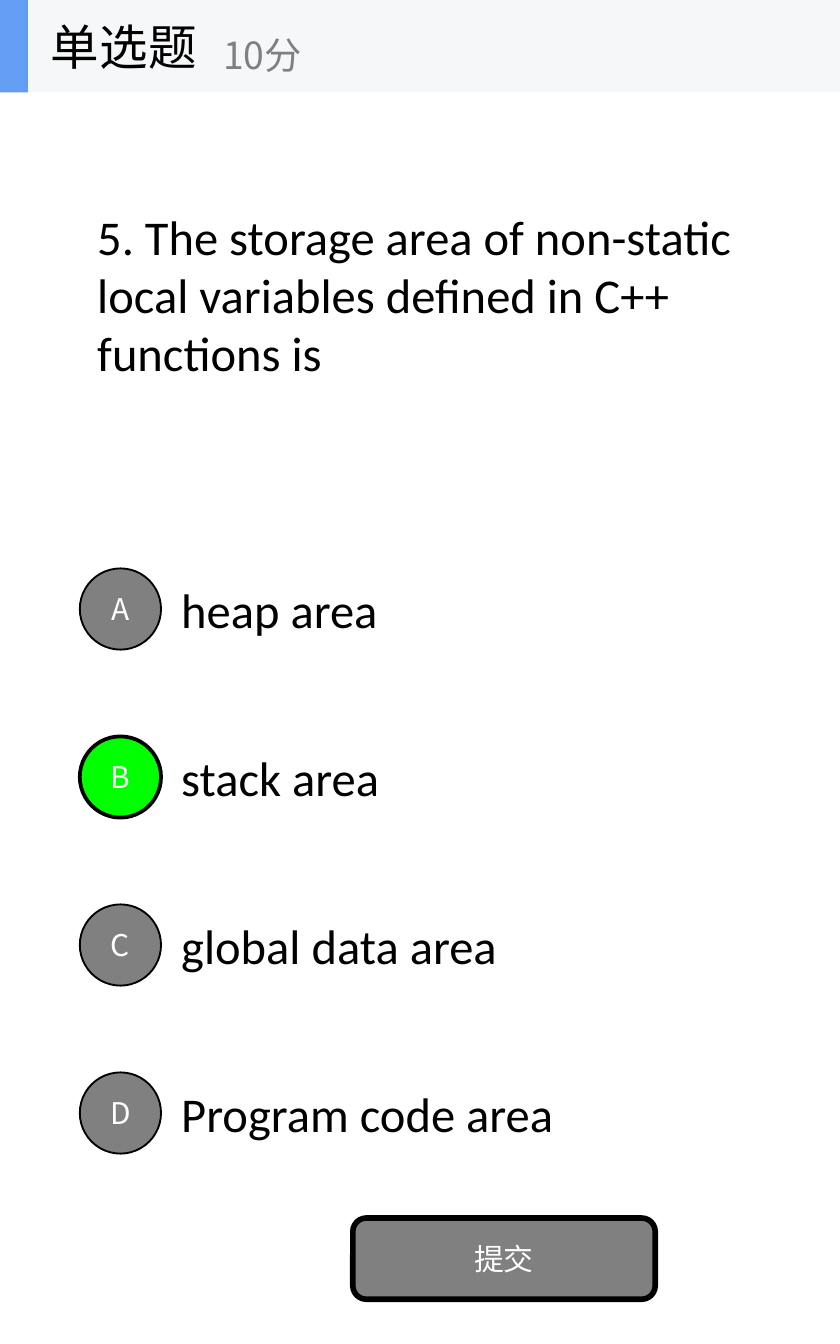
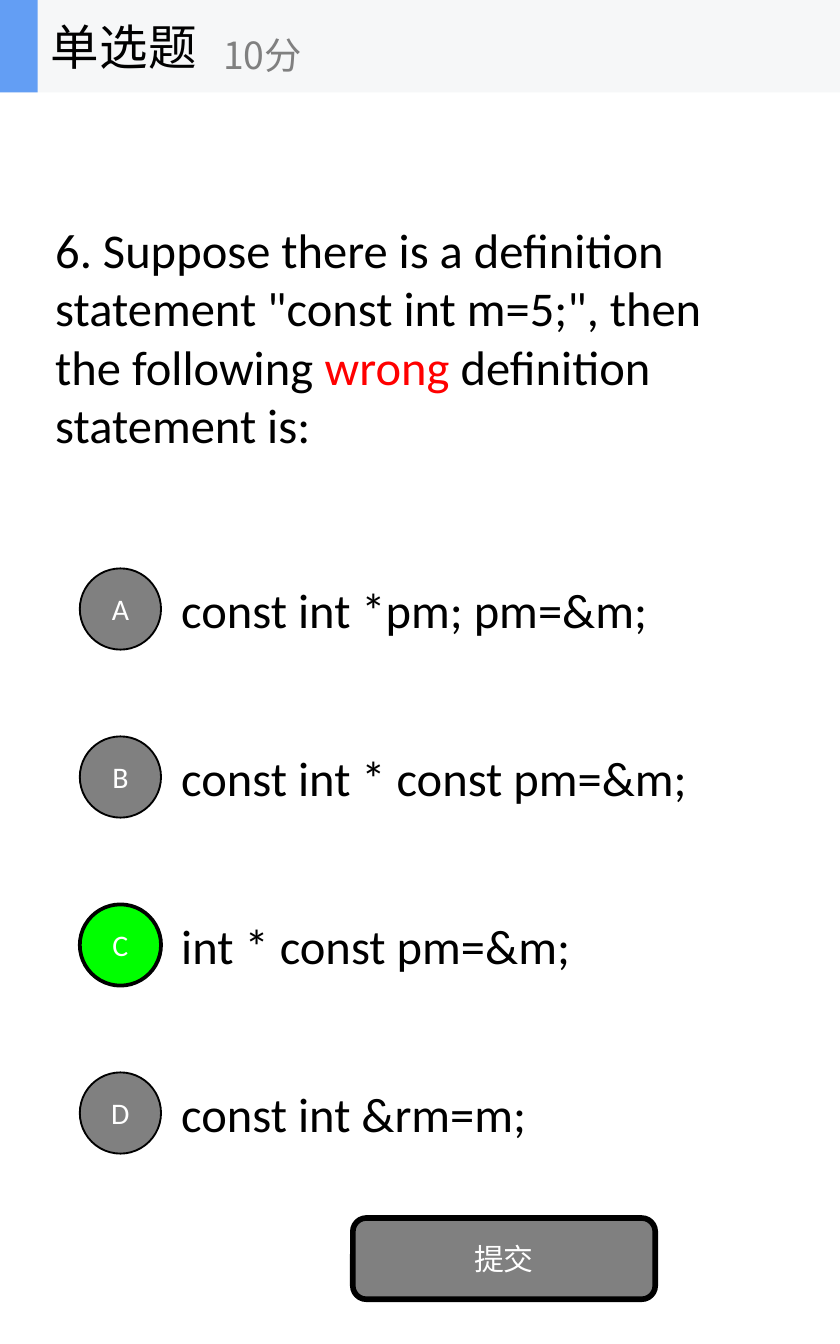
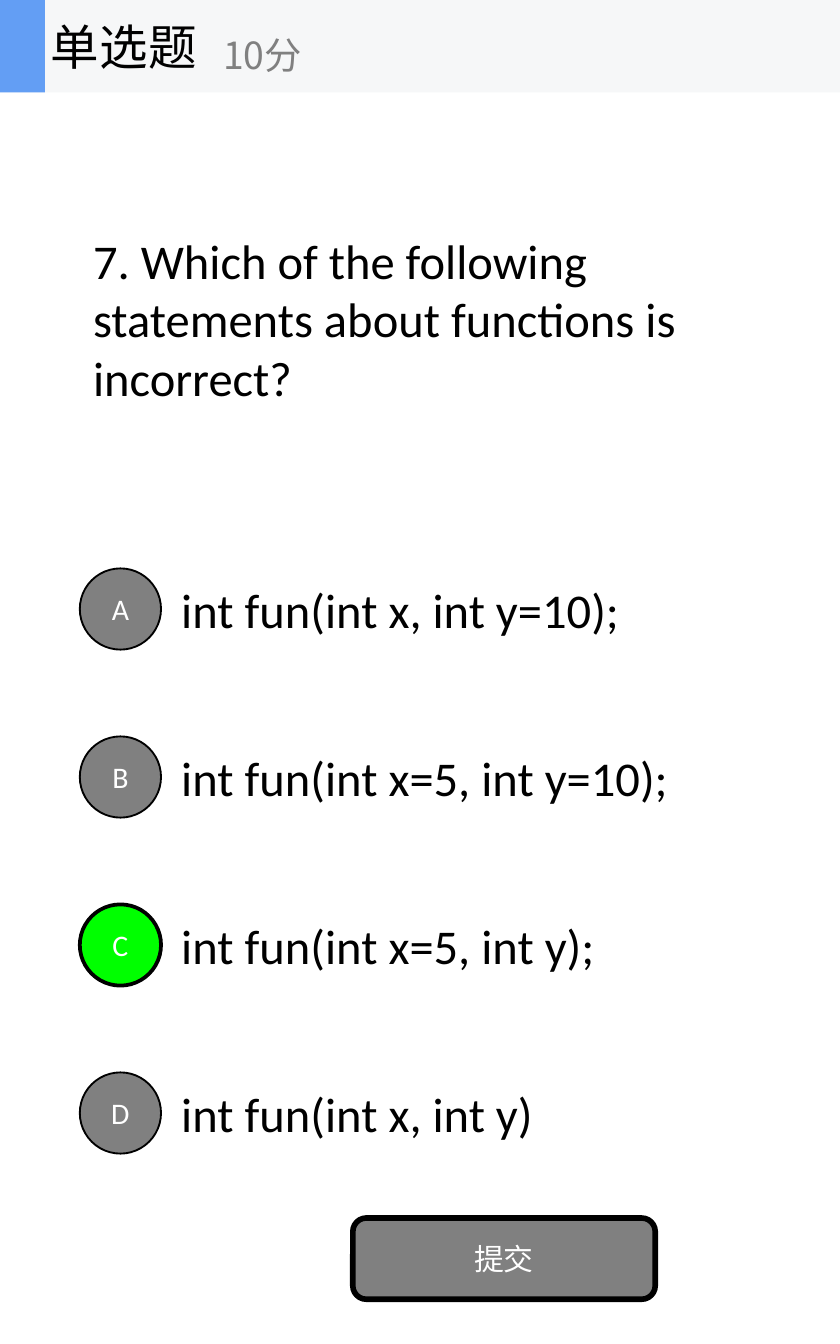
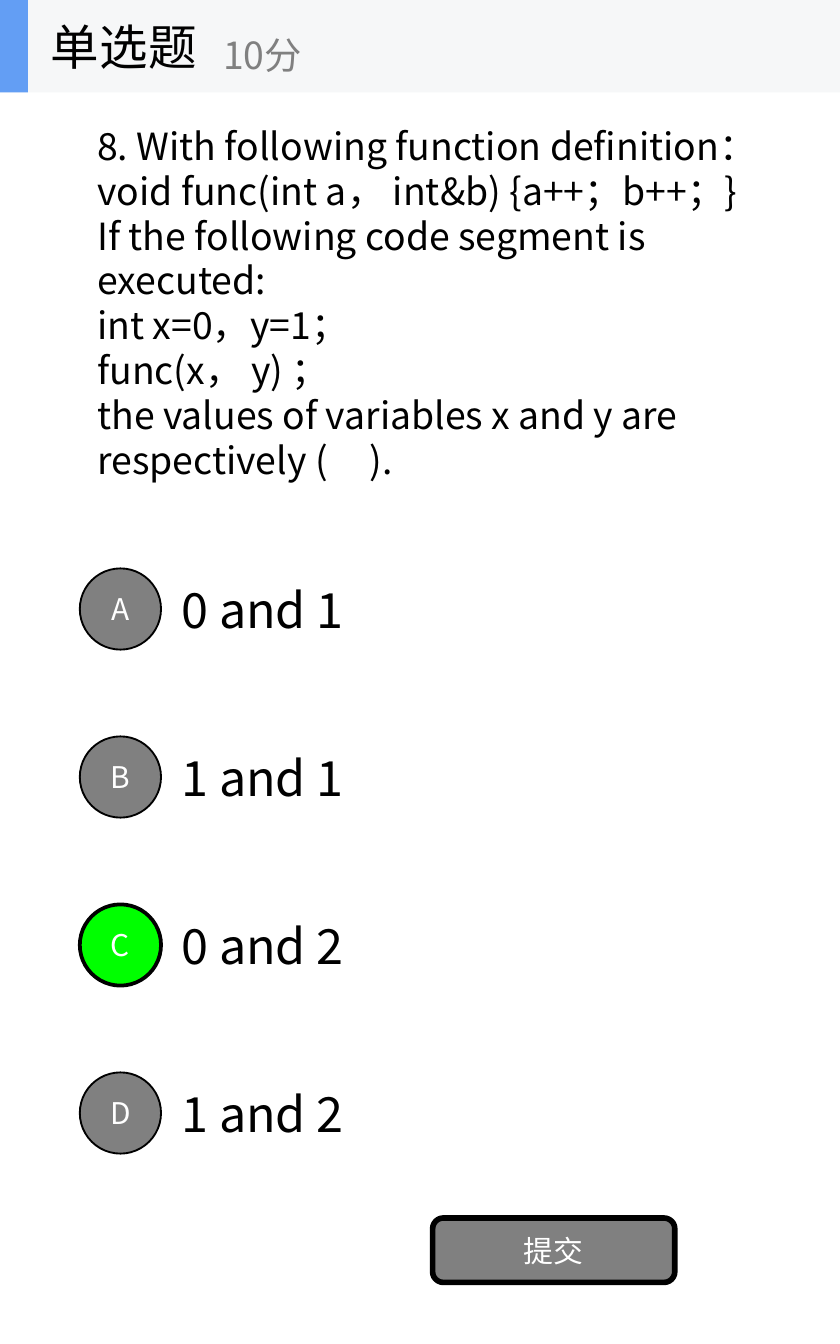
"""Builds four single-choice quiz slides."""
from dataclasses import dataclass
from typing import Any

from pptx import Presentation
from pptx import util as u
from pptx.dml.color import RGBColor
from pptx.enum import shapes, text
from pptx.oxml.ns import qn

SCALE = 9525
COLORS = {
    "ink": "000000",
    "white": "FFFFFF",
    "grey": "808080",
    "correct": "00FF00",
    "alert": "FF0000",
    "band": "F6F7F8",
    "accent": "639EF4",
}
CJK = "Noto Sans CJK SC"
LATIN = "Calibri"
OPTION_PITCH = 120


@dataclass(frozen=True)
class Rect:
    """A rectangle in px."""

    left: int
    top: int
    width: int
    height: int

    def emu(self) -> tuple[int, ...]:
        """Return the rectangle in EMU."""
        return tuple(v * SCALE for v in (self.left, self.top, self.width, self.height))


@dataclass(frozen=True)
class Style:
    """The look of a block of text."""

    size: int
    font: str = LATIN
    color: str = "ink"
    centred: bool = False


@dataclass(frozen=True)
class Quiz:
    """One question with its options and layout."""

    lines: tuple[str, ...]
    options: tuple[str, ...]
    answer: str
    area: Rect
    question: Style = Style(26)
    option_font: str = LATIN
    badge_font: str = LATIN
    title_font: str = LATIN
    highlight: str = ""
    accent_width: int = 20
    option_width: int = 420
    submit: Rect = Rect(252, 870, 216, 58)


QUIZZES = (
    Quiz(
        lines=("5. The storage area of non-static local variables defined in C++ functions is",),
        options=("heap area", "stack area", "global data area", "Program code area"),
        answer="B",
        area=Rect(60, 60, 480, 300),
        badge_font=CJK,
        title_font="Arial",
    ),
    Quiz(
        lines=('6. Suppose there is a definition statement "const int m=5;", '
               "then the following wrong definition statement is:",),
        options=("const int *pm; pm=&m;", "const int * const pm=&m;",
                 "int * const pm=&m;", "const int &rm=m;"),
        answer="C",
        area=Rect(30, 121, 535, 239),
        highlight="wrong",
        accent_width=27,
    ),
    Quiz(
        lines=("7. Which of the following statements about functions is incorrect?",),
        options=("int fun(int x, int y=10);", "int fun(int x=5, int y=10);",
                 "int fun(int x=5, int y);", "int fun(int x, int y)"),
        answer="C",
        area=Rect(57, 95, 500, 265),
        accent_width=32,
        option_width=437,
    ),
    Quiz(
        lines=(
            "8. With following function definition：",
            "void func(int a， int&b) {a++；b++；}",
            "If the following code segment is executed:",
            "int x=0，y=1；",
            "func(x， y) ；",
            "the values of variables x and y are respectively (     ).",
        ),
        options=("0 and 1", "1 and 1", "0 and 2", "1 and 2"),
        answer="C",
        area=Rect(60, 66, 522, 300),
        question=Style(20, CJK),
        option_font=CJK,
        badge_font=CJK,
        title_font=CJK,
        submit=Rect(309, 870, 173, 46),
    ),
)


def rgb(name: str) -> RGBColor:
    """Look up a named colour."""
    return RGBColor.from_string(COLORS[name])


def write(box: Any, lines: tuple[str, ...], style: Style, highlight: str = "") -> None:
    """Fill a shape with paragraphs, colouring the highlighted word."""
    frame = box.text_frame
    frame.word_wrap = True
    frame.vertical_anchor = text.MSO_ANCHOR.MIDDLE
    for index, line in enumerate(lines):
        para = frame.add_paragraph() if index else frame.paragraphs[0]
        para.alignment = text.PP_ALIGN.CENTER if style.centred else text.PP_ALIGN.LEFT
        font = para.font
        font.size = u.Pt(style.size)
        font.name = style.font
        font.color.rgb = rgb(style.color)
        latin = para._p.pPr.find(qn("a:defRPr")).find(qn("a:latin"))
        east_asian = latin.makeelement(qn("a:ea"), {"typeface": CJK})
        latin.addnext(east_asian)
        for part in line.partition(highlight) if highlight else (line,):
            span = para.add_run()
            span.text = part
            span.font.color.rgb = rgb("alert" if part == highlight else style.color)


def add_text(parent: Any, area: Rect, lines: tuple[str, ...], style: Style,
             highlight: str = "") -> None:
    """Add a text box."""
    write(parent.shapes.add_textbox(*area.emu()), lines, style, highlight)


def add_figure(parent: Any, kind: Any, area: Rect, fill: str, outline: int = 0) -> Any:
    """Add a filled shape, outlined when a width in points is given."""
    figure = parent.shapes.add_shape(kind, *area.emu())
    figure.shadow.inherit = False
    figure.fill.solid()
    figure.fill.fore_color.rgb = rgb(fill)
    if outline:
        figure.line.color.rgb = rgb("ink")
        figure.line.width = u.Pt(outline)
    else:
        figure.line.fill.background()
    return figure


def add_header(page: Any, quiz: Quiz) -> None:
    """Add the grouped band with question type and score."""
    header = page.shapes.add_group_shape()
    rectangle = shapes.MSO_SHAPE.RECTANGLE
    add_figure(header, rectangle, Rect(0, 0, 600, 66), "band")
    add_figure(header, rectangle, Rect(0, 0, quiz.accent_width, 66), "accent")
    add_text(header, Rect(27, 0, 200, 66), ("单选题",), Style(26, quiz.title_font))
    add_text(header, Rect(150, 12, 240, 54), ("10分",), Style(20, CJK, "grey"))


def add_quiz(deck: Any, quiz: Quiz) -> None:
    """Add one quiz slide."""
    page = deck.slides.add_slide(deck.slide_layouts[6])
    add_text(page, quiz.area, quiz.lines, quiz.question, quiz.highlight)
    for row, option in enumerate(quiz.options):
        area = Rect(120, 390 + row * OPTION_PITCH, quiz.option_width, 90)
        add_text(page, area, (option,), Style(26, quiz.option_font))
    for row, letter in enumerate("ABCD"):
        correct = letter == quiz.answer
        badge = add_figure(page, shapes.MSO_SHAPE.OVAL,
                           Rect(57, 406 + row * OPTION_PITCH, 58, 58),
                           "correct" if correct else "grey", 2 if correct else 1)
        write(badge, (letter,), Style(16, quiz.badge_font, "white", True))
    button = add_figure(page, shapes.MSO_SHAPE.ROUNDED_RECTANGLE, quiz.submit, "grey", 3)
    write(button, ("提交",), Style(16, CJK, "white", True))
    add_header(page, quiz)


def main() -> None:
    """Build and save the deck."""
    deck = Presentation()
    deck.slide_width = u.Emu(600 * SCALE)
    deck.slide_height = u.Emu(960 * SCALE)
    for quiz in QUIZZES:
        add_quiz(deck, quiz)
    deck.save("out.pptx")


if __name__ == "__main__":
    main()
